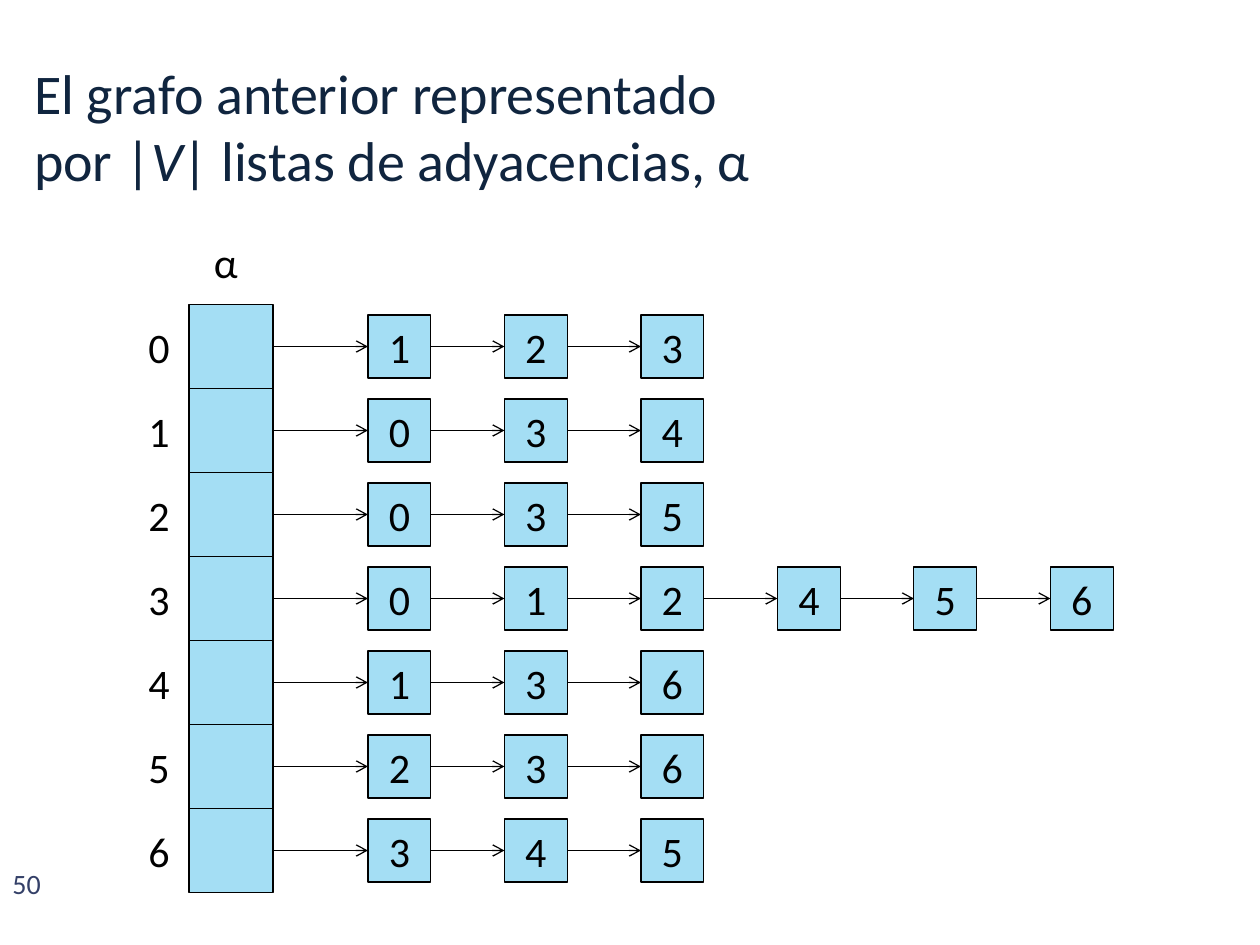
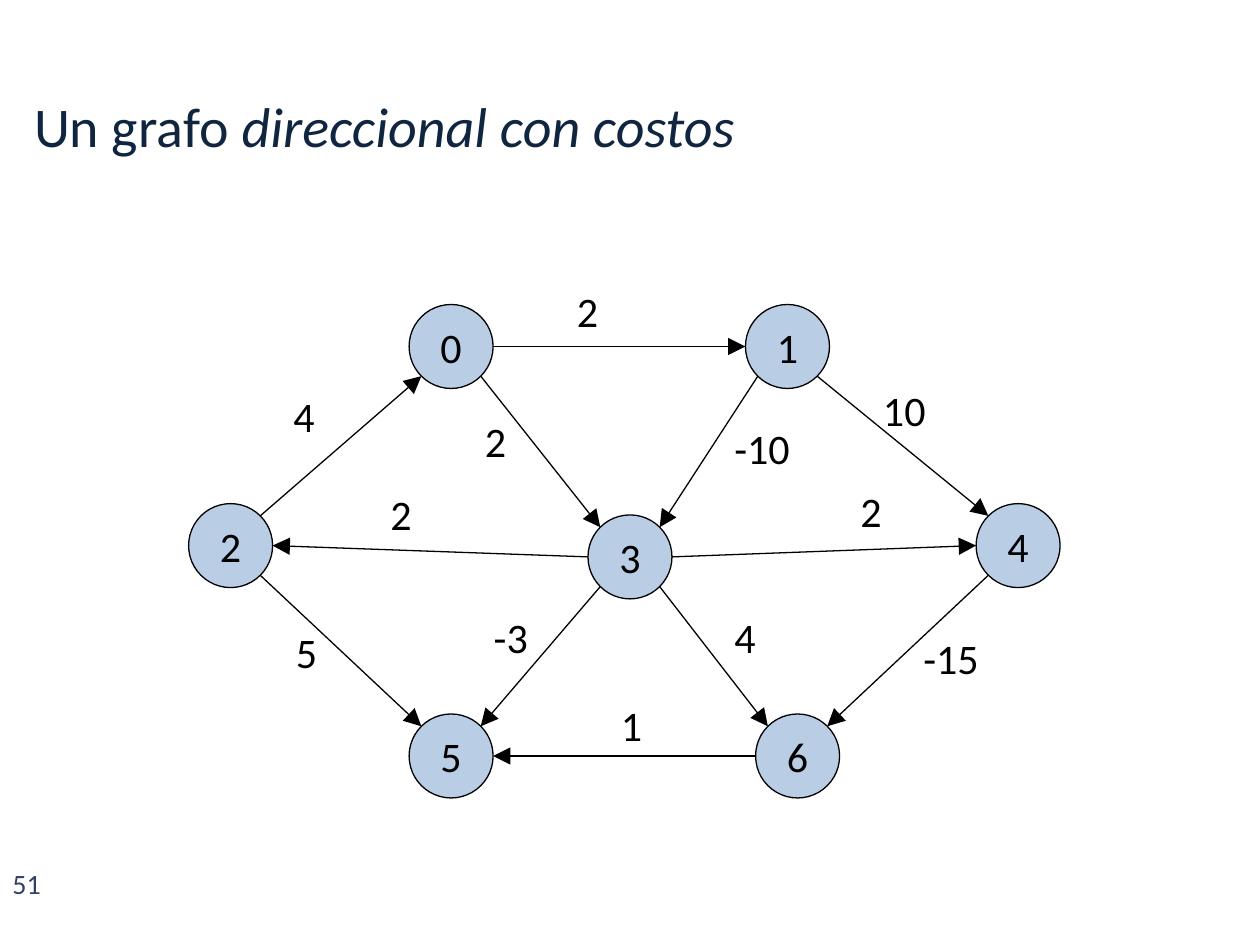
from math import atan2, cos, pi, sin

from lxml.etree import SubElement
from pptx import Presentation
from pptx.dml.color import RGBColor
from pptx.enum.shapes import MSO_CONNECTOR as Connector, MSO_SHAPE as Preset
from pptx.enum.text import MSO_ANCHOR as Anchor, MSO_AUTO_SIZE as AutoSize, PP_ALIGN as Align
from pptx.oxml.ns import qn
from pptx.util import Inches, Pt

COLORS = {
    "title": "10253F",
    "number": "344068",
    "ink": "000000",
    "list": "A4DEF4",
    "vertex": "B9CDE5",
}
FONT = "Calibri"
TITLE_ONLY = 5

CELL = 2 / 3          # side of an array cell, diameter of a vertex
NODE = 0.5            # side of a list node
FIRST_ROW = 2.75      # centre of the first array cell
ARRAY_LEFT = 1.5
NODE_LEFT = 2.92
NODE_PITCH = 13 / 12

ADJACENCY = [
    [1, 2, 3],
    [0, 3, 4],
    [0, 3, 5],
    [0, 1, 2, 4, 5, 6],
    [1, 3, 6],
    [2, 3, 6],
    [3, 4, 5],
]

# Centre of each vertex
VERTICES = {
    0: (3.58, 2.75),
    1: (6.25, 2.75),
    2: (1.83, 4.33),
    3: (5, 4.42),
    4: (8.08, 4.33),
    5: (3.58, 6),
    6: (6.33, 6),
}

# From, to, cost, then left, top and width of the cost label
EDGES = [
    (0, 1, 2, 4.48, 2.22, 0.39),
    (0, 3, 2, 3.75, 3.25, 0.39),
    (1, 3, -10, 5.73, 3.3, 0.65),
    (3, 2, 2, 3, 3.83, 0.39),
    (3, 4, 2, 6.73, 3.8, 0.39),
    (3, 5, -3, 3.82, 4.8, 0.48),
    (3, 6, 4, 5.73, 4.8, 0.39),
    (2, 0, 4, 2.23, 3.05, 0.39),
    (1, 4, 10, 6.91, 3, 0.56),
    (2, 5, 5, 2.25, 4.92, 0.39),
    (4, 6, -15, 7.23, 4.97, 0.65),
    (6, 5, 1, 4.83, 5.5, 0.39),
]


def color(name):
    """Return the named colour of the palette."""
    return RGBColor.from_string(COLORS[name])


def add_run(paragraph, text, size=24, ink="ink", italic=False):
    """Append one formatted run to a paragraph."""
    run = paragraph.add_run()
    run.text = text
    run.font.name = FONT
    run.font.size = Pt(size)
    run.font.italic = italic
    run.font.color.rgb = color(ink)


def add_slide(presentation, number, title_lines):
    """Add a slide with its title, given as lines of (text, italic), and number."""
    slide = presentation.slides.add_slide(presentation.slide_layouts[TITLE_ONLY])
    title = slide.shapes.title
    title.left, title.top = Inches(0.17), Inches(0.33)
    title.width, title.height = Inches(9.67), Inches(1.33)
    frame = title.text_frame
    frame.auto_size = AutoSize.NONE
    frame.vertical_anchor = Anchor.MIDDLE
    paragraph = frame.paragraphs[0]
    paragraph.alignment = Align.LEFT
    for index, line in enumerate(title_lines):
        if index:
            paragraph.add_line_break()
        for text, italic in line:
            add_run(paragraph, text, 32, "title", italic)

    box = slide.shapes.add_textbox(Inches(0), Inches(6.83), Inches(0.58), Inches(0.42))
    box.text_frame.word_wrap = True
    add_run(box.text_frame.paragraphs[0], str(number), 16, "number")
    return slide


def add_label(slide, text, left, top, width):
    """Add a free label that fits its text."""
    box = slide.shapes.add_textbox(Inches(left), Inches(top), Inches(width), Inches(0.51))
    box.text_frame.word_wrap = False
    box.text_frame.auto_size = AutoSize.SHAPE_TO_FIT_TEXT
    add_run(box.text_frame.paragraphs[0], text)


def add_node(slide, preset, center, size, fill, text=""):
    """Add an outlined shape around a centre, with an optional centred text."""
    x, y = center
    shape = slide.shapes.add_shape(
        preset, Inches(x - size / 2), Inches(y - size / 2), Inches(size), Inches(size))
    shape.shadow.inherit = False
    shape.fill.solid()
    shape.fill.fore_color.rgb = color(fill)
    shape.line.color.rgb = color("ink")
    shape.line.width = Pt(0.75)
    if text:
        frame = shape.text_frame
        frame.word_wrap = False
        frame.vertical_anchor = Anchor.MIDDLE
        frame.paragraphs[0].alignment = Align.CENTER
        add_run(frame.paragraphs[0], text)


def add_arrow(slide, start, end, head, head_size="med"):
    """Add a straight arrow with the given kind and size of head at its end."""
    connector = slide.shapes.add_connector(
        Connector.STRAIGHT, *(Inches(length) for length in (*start, *end)))
    connector.line.color.rgb = color("ink")
    connector.line.width = Pt(0.75)
    SubElement(connector.line._get_or_add_ln(), qn("a:tailEnd"),
               type=head, w=head_size, len=head_size)
    SubElement(connector._element.spPr, qn("a:effectLst"))


def rim_point(center, toward):
    """Return the vertex's connection site, one each 45 degrees, that faces a point."""
    x, y = center
    angle = round(atan2(toward[1] - y, toward[0] - x) / (pi / 4)) * pi / 4
    return x + CELL / 2 * cos(angle), y + CELL / 2 * sin(angle)


def build_adjacency_slide(presentation):
    """Draw the array of adjacency lists."""
    slide = add_slide(presentation, 50, [
        [("El grafo anterior representado", False)],
        [("por |", False), ("V", True), ("| listas de adyacencias, α", False)],
    ])
    add_label(slide, "α", 1.6, 1.83, 0.4)
    for row, neighbors in enumerate(ADJACENCY):
        y = FIRST_ROW + row * CELL
        add_node(slide, Preset.RECTANGLE, (ARRAY_LEFT + CELL / 2, y), CELL, "list")
        add_label(slide, str(row), 1.08, y - 0.25, 0.37)
        previous_right = ARRAY_LEFT + CELL
        for column, neighbor in enumerate(neighbors):
            left = NODE_LEFT + column * NODE_PITCH
            add_node(slide, Preset.RECTANGLE, (left + NODE / 2, y), NODE, "list", str(neighbor))
            add_arrow(slide, (previous_right, y), (left, y), "arrow")
            previous_right = left + NODE


def build_graph_slide(presentation):
    """Draw the directed graph with its costs."""
    slide = add_slide(presentation, 51, [
        [("Un grafo ", False), ("direccional con costos", True)],
    ])
    for vertex, center in VERTICES.items():
        add_node(slide, Preset.OVAL, center, CELL, "vertex", str(vertex))
    for source, target, cost, left, top, width in EDGES:
        start, end = VERTICES[source], VERTICES[target]
        add_arrow(slide, rim_point(start, end), rim_point(end, start), "triangle", "lg")
        add_label(slide, str(cost), left, top, width)


def main():
    """Build and save the presentation."""
    presentation = Presentation()
    presentation.slide_width = Inches(10)
    presentation.slide_height = Inches(7.5)
    build_adjacency_slide(presentation)
    build_graph_slide(presentation)
    presentation.save("out.pptx")


main()
